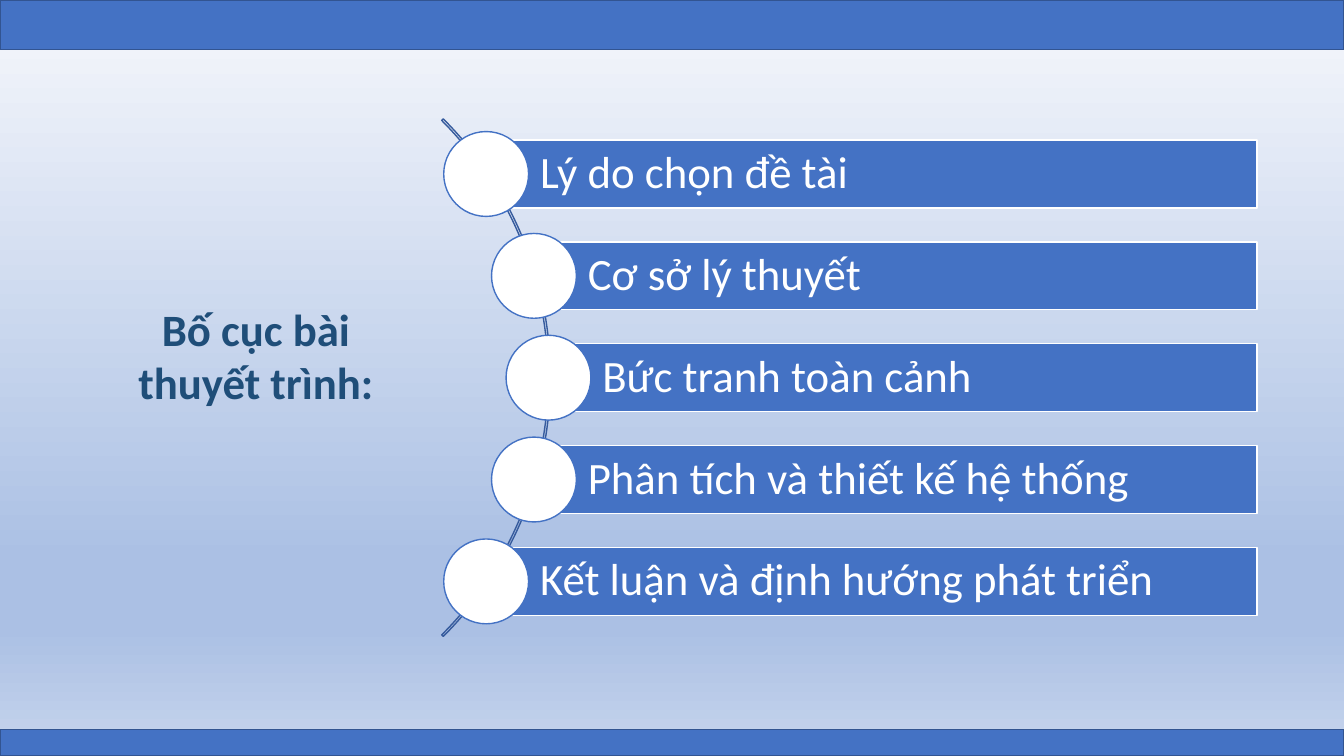
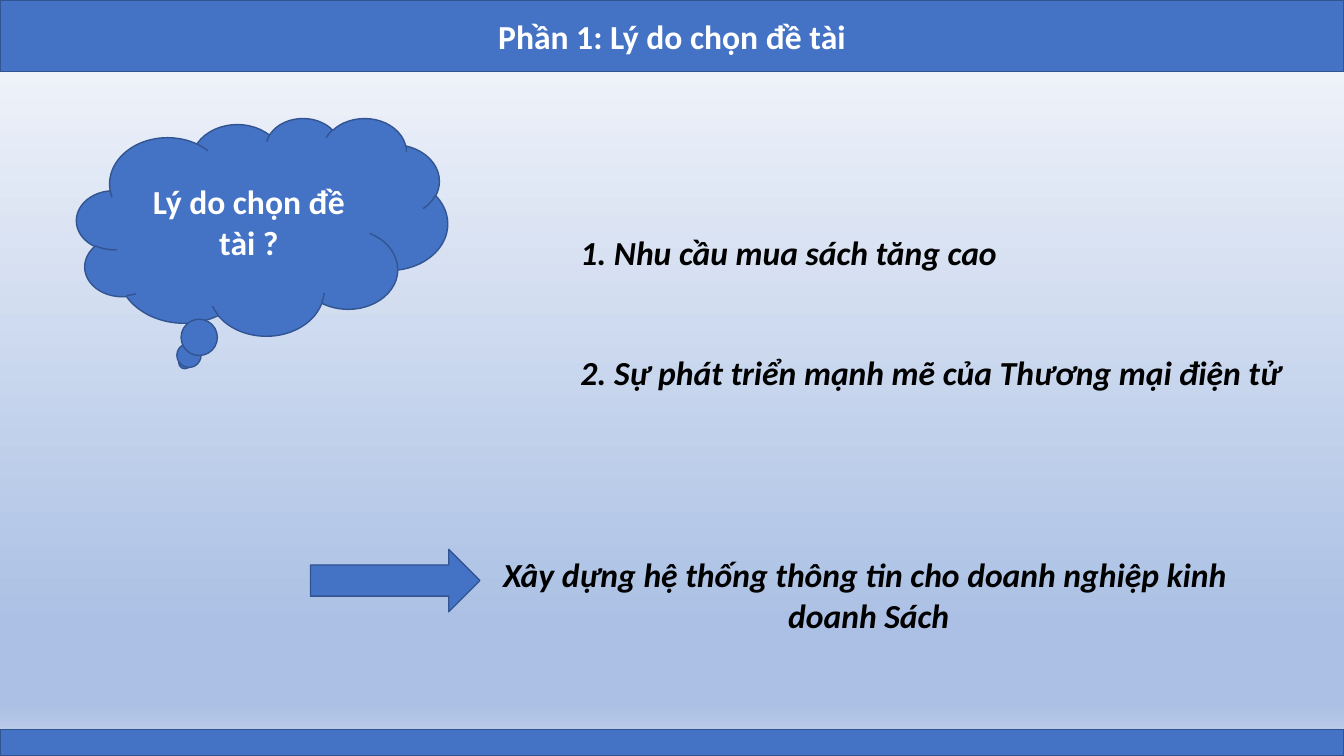
from copy import deepcopy
from math import sqrt

from pptx import Presentation
from pptx.dml.color import RGBColor
from pptx.enum.shapes import MSO_SHAPE
from pptx.enum.text import MSO_ANCHOR, MSO_AUTO_SIZE, PP_ALIGN
from pptx.oxml.ns import qn
from pptx.util import Pt

RECT, OVAL, ARC = MSO_SHAPE.RECTANGLE, MSO_SHAPE.OVAL, MSO_SHAPE.BLOCK_ARC
CLOUD, ARROW = MSO_SHAPE.CLOUD_CALLOUT, MSO_SHAPE.RIGHT_ARROW
LEFT, CENTER = PP_ALIGN.LEFT, PP_ALIGN.CENTER
MIDDLE, FIT = MSO_ANCHOR.MIDDLE, MSO_AUTO_SIZE.SHAPE_TO_FIT_TEXT

BLUE, EDGE, WHITE, BLACK, NAVY = "4472C4", "325491", "FFFFFF", "000000", "1F4E79"
GRADIENT = ["F6F8FC", "ABC0E4", "ABC0E4", "C7D5ED"]
WIDTH, HEIGHT = 960, 540
FOOTER_HEIGHT = 18.7

AGENDA_FONT = {"size": Pt(32)}
AGENDA_TITLE_FONT = {"size": Pt(32), "bold": True}
HEADING_FONT = {"size": Pt(24), "bold": True}
REASON_FONT = {"size": Pt(24), "bold": True, "italic": True}


def add_block(slide, kind, box, fill=BLUE, line=EDGE):
    block = slide.shapes.add_shape(kind, *[Pt(length) for length in box])
    block.shadow.inherit = False
    if fill:
        block.fill.solid()
        block.fill.fore_color.rgb = RGBColor.from_string(fill)
    else:
        block.fill.background()
    block.line.color.rgb = RGBColor.from_string(line)
    block.line.width = Pt(1)
    return block


def write(frame, lines, font, color, align, **frame_format):
    for name, value in frame_format.items():
        setattr(frame, name, value)
    for number, line in enumerate(lines):
        paragraph = frame.add_paragraph() if number else frame.paragraphs[0]
        paragraph.alignment = align
        run = paragraph.add_run()
        run.text = line
        run.font.name = "Calibri"
        run.font.color.rgb = RGBColor.from_string(color)
        for name, value in font.items():
            setattr(run.font, name, value)


deck = Presentation()
deck.slide_width, deck.slide_height = Pt(WIDTH), Pt(HEIGHT)
blank = deck.slide_layouts[6]

slides = []
headers = []
for header_height, positions in [(35.3, [0, 0.74, 0.83, 1]), (51.1, [0, 0.83, 0.93, 1])]:
    slide = deck.slides.add_slide(blank)
    backdrop = slide.background.fill
    backdrop.gradient()
    backdrop.gradient_angle = 270
    stop_list = next(slide.element.iter(qn("a:gsLst")))
    for extra in range(len(positions) - len(stop_list)):
        stop_list.append(deepcopy(stop_list[0]))
    for stop, color, position in zip(backdrop.gradient_stops, GRADIENT, positions):
        stop.color.rgb = RGBColor.from_string(color)
        stop.position = position
    headers.append(add_block(slide, RECT, (0, 0, WIDTH, header_height)))
    add_block(slide, RECT, (0, HEIGHT - FOOTER_HEIGHT, WIDTH, FOOTER_HEIGHT))
    slides.append(slide)
agenda_slide, reasons_slide = slides

ARC_X, ARC_Y, ARC_RADIUS = 131.8, 269.8, 261.4
TRACK_RADIUS = 260
PITCH, BAR_HEIGHT, BAR_RIGHT, DOT = 72.75, 48.5, 897.8, 60.6
arc = add_block(
    agenda_slide, ARC,
    (ARC_X - ARC_RADIUS, ARC_Y - ARC_RADIUS, 2 * ARC_RADIUS, 2 * ARC_RADIUS),
    None, "365B9D",
)
for index, adjustment in enumerate([189, 27, 0.003]):
    arc.adjustments[index] = adjustment

topics = [
    "Lý do chọn đề tài",
    "Cơ sở lý thuyết",
    "Bức tranh toàn cảnh",
    "Phân tích và thiết kế hệ thống",
    "Kết luận và định hướng phát triển",
]
for index, topic in enumerate(topics):
    offset = (index - (len(topics) - 1) / 2) * PITCH
    x = ARC_X + sqrt(TRACK_RADIUS ** 2 - offset ** 2)
    y = ARC_Y + offset
    bar = add_block(
        agenda_slide, RECT, (x, y - BAR_HEIGHT / 2, BAR_RIGHT - x, BAR_HEIGHT), BLUE, WHITE
    )
    write(bar.text_frame, [topic], AGENDA_FONT, WHITE, LEFT,
          vertical_anchor=MIDDLE, margin_left=Pt(38.5), word_wrap=True)
    bar.text_frame.paragraphs[0].line_spacing = 0.9
    add_block(agenda_slide, OVAL, (x - DOT / 2, y - DOT / 2, DOT, DOT), WHITE, BLUE)

write(headers[1].text_frame, ["Phần 1: Lý do chọn đề tài"], HEADING_FONT, WHITE, CENTER,
      vertical_anchor=MIDDLE)
question = add_block(reasons_slide, CLOUD, (54.7, 84.2, 265, 155.5))
write(question.text_frame, ["Lý do chọn đề tài ?"], HEADING_FONT, WHITE, CENTER,
      vertical_anchor=MIDDLE, word_wrap=True)
add_block(reasons_slide, ARROW, (221.8, 392.4, 121, 44.6))

captions = [
    (agenda_slide, (90.7, 211.7, 184.3, 85), ["Bố cục bài", "thuyết trình:"],
     AGENDA_TITLE_FONT, NAVY, CENTER),
    (reasons_slide, (407.5, 162, 313.9, 36), ["1. Nhu cầu mua sách tăng cao"],
     REASON_FONT, BLACK, LEFT),
    (reasons_slide, (407.5, 247.7, 517, 36),
     ["2. Sự phát triển mạnh mẽ của Thương mại điện tử"], REASON_FONT, BLACK, LEFT),
    (reasons_slide, (350, 392.4, 535.7, 65.5),
     ["Xây dựng hệ thống thông tin cho doanh nghiệp kinh", " doanh Sách"],
     REASON_FONT, BLACK, CENTER),
]
for slide, box, lines, font, color, align in captions:
    caption = slide.shapes.add_textbox(*[Pt(length) for length in box])
    write(caption.text_frame, lines, font, color, align, word_wrap=False, auto_size=FIT)

deck.save("out.pptx")
